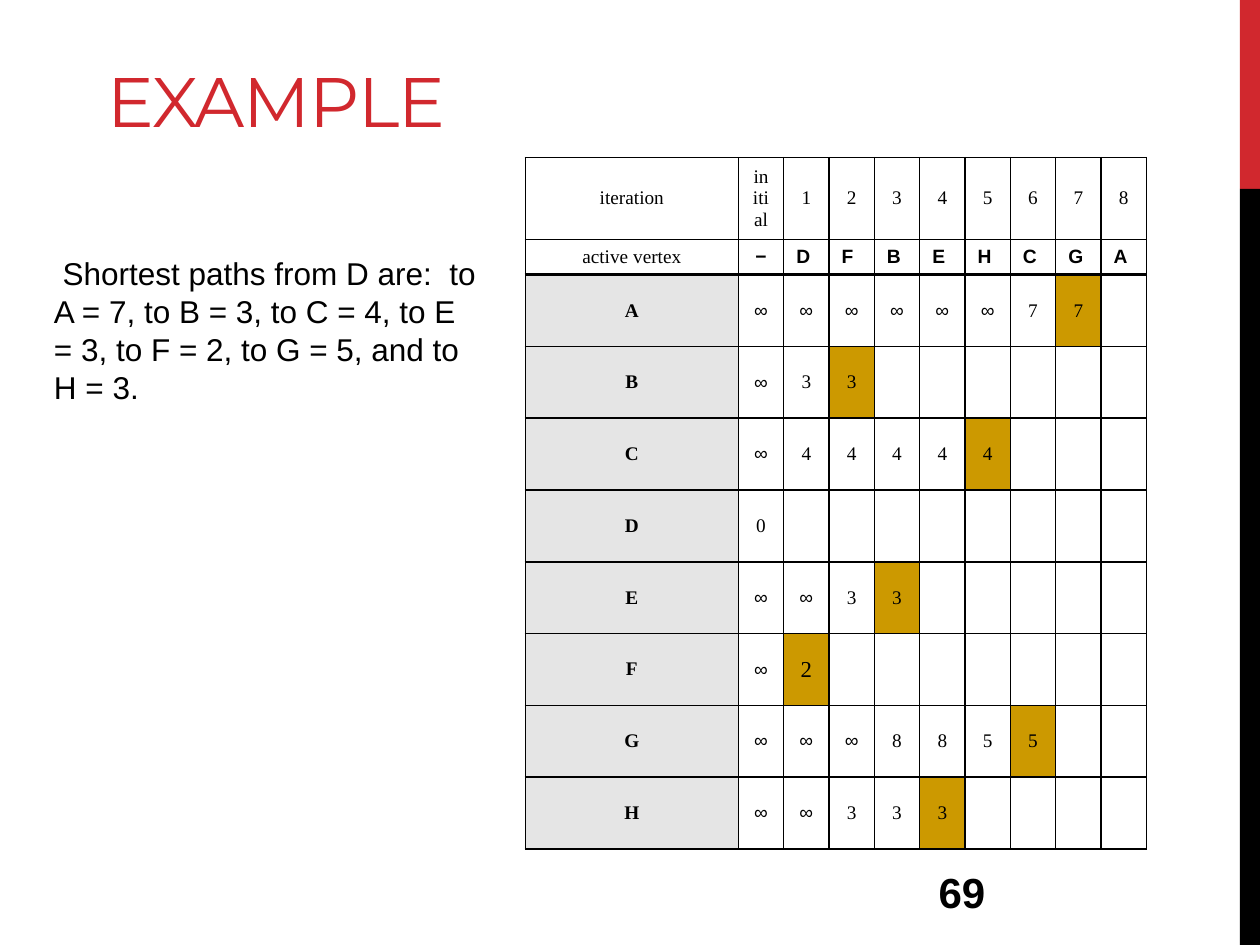
from pptx import Presentation
from pptx.dml.color import RGBColor
from pptx.enum.shapes import MSO_SHAPE
from pptx.enum.text import MSO_ANCHOR, PP_ALIGN
from pptx.oxml import parse_xml
from pptx.oxml.ns import nsdecls
from pptx.util import Inches, Pt

RECTANGLE = MSO_SHAPE.RECTANGLE
TOP, MIDDLE, BOTTOM = MSO_ANCHOR.TOP, MSO_ANCHOR.MIDDLE, MSO_ANCHOR.BOTTOM
LEFT, CENTER = PP_ALIGN.LEFT, PP_ALIGN.CENTER

COLORS = {
    "red": "D1282E",
    "black": "000000",
    "white": "FFFFFF",
    "label": "E5E5E5",
    "settled": "CC9900",
}
SERIF, SANS, DISPLAY = "Times New Roman", "Arial", "Montserrat"

TITLE = "EXAMPLE"
SUMMARY = (" Shortest paths from D are:  to A = 7, to B = 3, to C = 4, "
           "to E = 3, to F = 2, to G = 5, and to H = 3.")
PAGE_NUMBER = "69"
SIDE_BARS = [("red", 0, 1.5), ("black", 1.5, 6)]

ITERATIONS = ["iteration", "initial", "1", "2", "3", "4", "5", "6", "7", "8"]
ACTIVE_VERTICES = ["active vertex", "−", "D", "F", "B", "E", "H", "C", "G", "A"]
DISTANCES = {
    "A": "∞ ∞ ∞ ∞ ∞ ∞ 7 7",
    "B": "∞ 3 3",
    "C": "∞ 4 4 4 4 4",
    "D": "0",
    "E": "∞ ∞ 3 3",
    "F": "∞ 2",
    "G": "∞ ∞ ∞ 8 8 5 5",
    "H": "∞ ∞ 3 3 3",
}
COLUMN_WIDTHS = [1.69] + [0.36] * 9
ROW_HEIGHTS = [0.65, 0.28] + [0.57] * len(DISTANCES)


def write(frame, text, size=11, font=SANS, color="black", bold=False,
          align=LEFT, anchor=TOP, spacing=None):
    frame.word_wrap = True
    frame.vertical_anchor = anchor
    paragraph = frame.paragraphs[0]
    paragraph.alignment = align
    run = paragraph.add_run()
    run.text = text
    run.font.size = Pt(size)
    run.font.name = font
    run.font.bold = bold
    run.font.color.rgb = RGBColor.from_string(COLORS[color])
    if spacing is not None:
        run.font._element.set("spc", str(round(spacing * 100)))


def add_side_bar(slide, color, top, height):
    bar = slide.shapes.add_shape(RECTANGLE, Inches(9.84), Inches(top),
                                 Inches(0.16), Inches(height))
    bar.shadow.inherit = False
    bar.fill.solid()
    bar.fill.fore_color.rgb = RGBColor.from_string(COLORS[color])
    bar.line.fill.background()


def add_text(slide, text, left, top, width, height, **style):
    box = slide.shapes.add_textbox(Inches(left), Inches(top), Inches(width), Inches(height))
    write(box.text_frame, text, **style)


def format_cell(cell, row, fill):
    weights = {"L": 1, "R": 1, "T": 2 if row == 2 else 1, "B": 2 if row == 1 else 1}
    properties = cell._tc.get_or_add_tcPr()
    for side, weight in weights.items():
        properties.append(parse_xml(
            f'<a:ln{side} {nsdecls("a")} w="{Pt(weight)}"><a:solidFill>'
            f'<a:srgbClr val="{COLORS["black"]}"/></a:solidFill></a:ln{side}>'))
    if fill:
        cell.fill.solid()
        cell.fill.fore_color.rgb = RGBColor.from_string(COLORS[fill])
    else:
        cell.fill.background()


def cell_fill(row, column, values):
    if row < 2:
        return "white"
    if column == 0:
        return "label"
    if column > 1 and column == len(values) - 1:
        return "settled"
    return None


def cell_style(row, column, value, fill):
    active = row == 1 and column > 0
    return {
        "size": 13 if fill == "settled" and value == "2" else 11,
        "font": SANS if active or value == "∞" else SERIF,
        "bold": active or fill == "label",
        "align": LEFT if row == 1 and column > 1 else CENTER,
        "anchor": MIDDLE,
    }


def add_distance_table(slide):
    rows = [ITERATIONS, ACTIVE_VERTICES]
    rows += [[vertex, *steps.split()] for vertex, steps in DISTANCES.items()]
    table = slide.shapes.add_table(
        len(rows), len(COLUMN_WIDTHS), Inches(4.17), Inches(1.25),
        Inches(sum(COLUMN_WIDTHS)), Inches(sum(ROW_HEIGHTS))).table
    for column, width in zip(table.columns, COLUMN_WIDTHS):
        column.width = Inches(width)
    for row, (values, height) in enumerate(zip(rows, ROW_HEIGHTS)):
        table.rows[row].height = Inches(height)
        for column in range(len(COLUMN_WIDTHS)):
            cell = table.cell(row, column)
            fill = cell_fill(row, column, values)
            format_cell(cell, row, fill)
            if column < len(values):
                style = cell_style(row, column, values[column], fill)
                cell.vertical_anchor = style.pop("anchor")
                write(cell.text_frame, values[column], anchor=None, **style)


def main():
    """Build the shortest-path example slide."""
    deck = Presentation()
    deck.slide_width, deck.slide_height = Inches(10), Inches(7.5)
    slide = deck.slides.add_slide(deck.slide_layouts[5])
    for color, top, height in SIDE_BARS:
        add_side_bar(slide, color, top, height)
    title = slide.shapes.title
    title.left, title.top = Inches(0.75), Inches(0.17)
    title.width, title.height = Inches(7.75), Inches(1)
    write(title.text_frame, TITLE, size=40, font=DISPLAY, color="red",
          anchor=BOTTOM, spacing=-0.6)
    add_distance_table(slide)
    add_text(slide, PAGE_NUMBER, 7.35, 6.83, 2.08, 0.5, size=24, bold=True, anchor=MIDDLE)
    add_text(slide, SUMMARY, 0.33, 1.97, 3.58, 1.3, size=18)
    deck.save("out.pptx")


if __name__ == "__main__":
    main()
